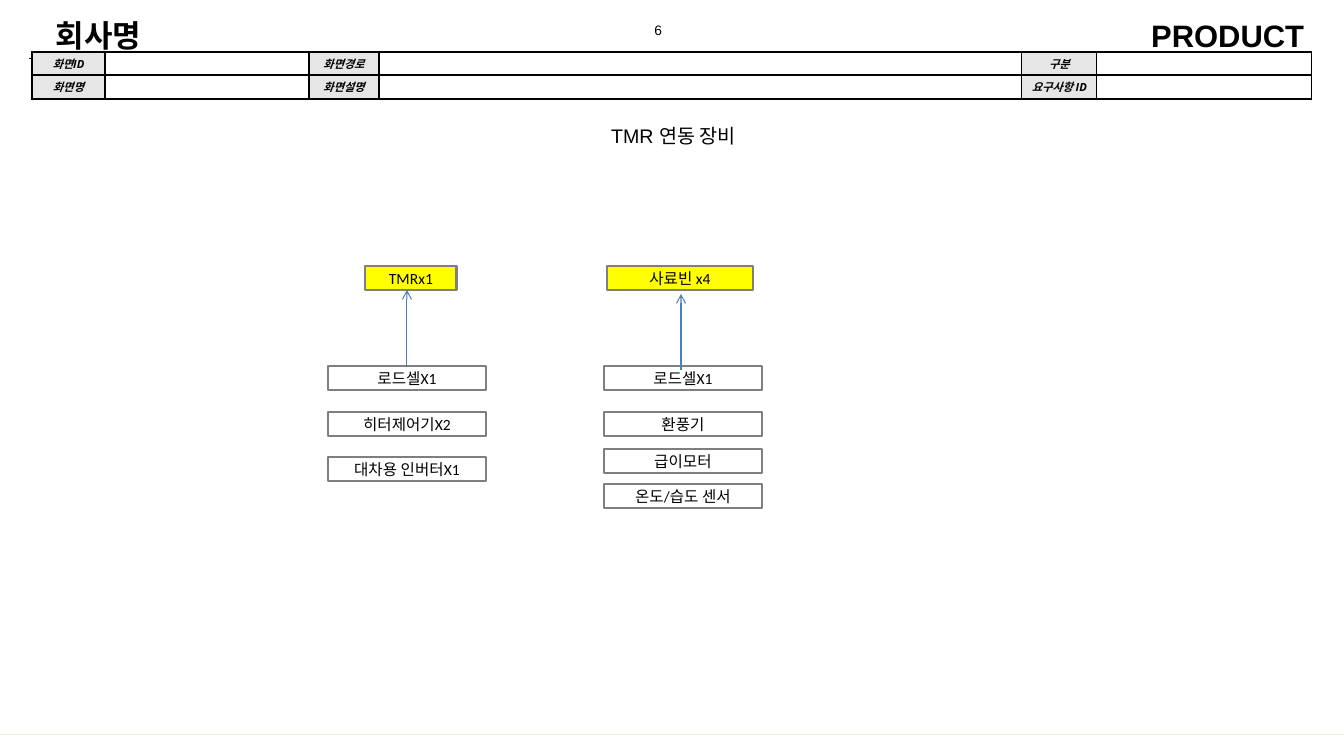
from lxml import etree
from pptx import Presentation
from pptx import util as u
from pptx.dml import color
from pptx.enum import shapes, text
from pptx.oxml import ns

PX = 914400 / 100.8
BLACK, WHITE, GRAY, YELLOW = "000000", "FFFFFF", "7F7F7F", "FFFF00"

title_words = "TMR 연동 장비"
headings = [
    ("회사명", (17, 11, 156, 49), (39, 6, 12, 6), 22.1, True, text.PP_ALIGN.LEFT),
    ("PRODUCT", (1135, 11, 181, 49), (12, 6, 12, 6), 22.1, True, text.PP_ALIGN.RIGHT),
    ("6", (603, 16, 70, 27), (11, 6, 11, 6), 9.8, False, text.PP_ALIGN.RIGHT),
]
form_rows = [
    ["화면ID", "", "화면경로", "", "구분", ""],
    ["화면명", "", "화면설명", "", "요구사항 ID", ""],
]
form_columns = [73, 204, 70, 643, 75, 215]
form_row_heights = [23, 24]
rules = [(0, 735, 1344, 735, "EEECE1"), (29, 59, 1307, 59, BLACK)]
devices = [
    {"name": "TMRx1", "left": 365, "width": 92, "parts_left": 328,
     "parts": [("로드셀X1", 366), ("히터제어기X2", 412), ("대차용 인버터X1", 457)],
     "arrow": (407, 366, 407, 290)},
    {"name": "사료빈 x4", "left": 607, "width": 146, "parts_left": 604,
     "parts": [("로드셀X1", 366), ("환풍기", 412), ("급이모터", 449), ("온도/습도 센서", 484)],
     "arrow": (681, 370, 681, 294)},
]
DEVICE_TOP, PART_WIDTH, BOX_HEIGHT = 266, 158, 24


def px(*values):
    return [u.Emu(round(v * PX)) for v in values]


def rgb(value):
    return color.RGBColor.from_string(value)


def set_margins(holder, margins):
    holder.margin_left, holder.margin_top, holder.margin_right, holder.margin_bottom = px(*margins)


def write(frame, words, size, font, align=text.PP_ALIGN.CENTER, bold=False, italic=False):
    paragraph = frame.paragraphs[0]
    paragraph.alignment = align
    run = paragraph.add_run()
    run.text = words
    run.font.size, run.font.name = u.Pt(size), font
    run.font.bold, run.font.italic = bold, italic
    run.font.color.rgb = rgb(BLACK)


def add_line(ends, line_color, arrow=False):
    line = slide.shapes.add_connector(shapes.MSO_CONNECTOR.STRAIGHT, *px(*ends))
    line.line.color.rgb = rgb(line_color)
    line.line.width = u.Pt(0.75)
    if arrow:
        etree.SubElement(line.line._get_or_add_ln(), ns.qn("a:tailEnd"), type="arrow")
    etree.SubElement(line._element.spPr, ns.qn("a:effectLst"))


def add_box(words, left, top, width, fill):
    box = slide.shapes.add_shape(shapes.MSO_SHAPE.RECTANGLE, *px(left, top, width, BOX_HEIGHT))
    box.shadow.inherit = False
    box.fill.solid()
    box.fill.fore_color.rgb = rgb(fill)
    box.line.color.rgb = rgb(GRAY)
    box.line.width = u.Pt(2)
    frame = box.text_frame
    frame.word_wrap = True
    frame.vertical_anchor = text.MSO_ANCHOR.MIDDLE
    set_margins(frame, (8, 2, 8, 2))
    write(frame, words, 11.1, "Calibri")


def format_cell(cell, words):
    cell.vertical_anchor = text.MSO_ANCHOR.MIDDLE
    set_margins(cell, (1, 1, 1, 1))
    if words:
        write(cell.text_frame, words, 8, "Open Sans", bold=True, italic=True)
    else:
        etree.SubElement(cell.text_frame.paragraphs[0]._p, ns.qn("a:endParaRPr"), sz="800")
    properties = cell._tc.get_or_add_tcPr()
    for side in ("lnL", "lnR", "lnT", "lnB"):
        border = etree.SubElement(properties, ns.qn("a:" + side), w=str(u.Pt(1)))
        solid = etree.SubElement(border, ns.qn("a:solidFill"))
        etree.SubElement(solid, ns.qn("a:srgbClr"), val=BLACK)
    cell.fill.solid()
    cell.fill.fore_color.rgb = rgb("E6E6E6" if words else WHITE)


deck = Presentation()
deck.slide_width, deck.slide_height = px(1344, 756)
slide = deck.slides.add_slide(deck.slide_layouts[5])

title = slide.shapes.title
title.left, title.top, title.width, title.height = px(504, 120, 339, 32)
title.text_frame.vertical_anchor = text.MSO_ANCHOR.MIDDLE
write(title.text_frame, title_words, 14, "Arial")

for words, place, margins, size, bold, align in headings:
    heading = slide.shapes.add_textbox(*px(*place)).text_frame
    heading.word_wrap = True
    set_margins(heading, margins)
    write(heading, words, size, "Arial", align, bold)

for *ends, rule_color in rules:
    add_line(ends, rule_color)

form = slide.shapes.add_table(
    len(form_rows), len(form_columns),
    *px(32, 52, sum(form_columns), sum(form_row_heights))).table
for column, width in zip(form.columns, px(*form_columns)):
    column.width = width
for row, height, labels in zip(form.rows, px(*form_row_heights), form_rows):
    row.height = height
    for cell, label in zip(row.cells, labels):
        format_cell(cell, label)

for device in devices:
    add_box(device["name"], device["left"], DEVICE_TOP, device["width"], YELLOW)
    for part, top in device["parts"]:
        add_box(part, device["parts_left"], top, PART_WIDTH, WHITE)
    add_line(device["arrow"], "4B7EBC", arrow=True)

deck.save("out.pptx")
